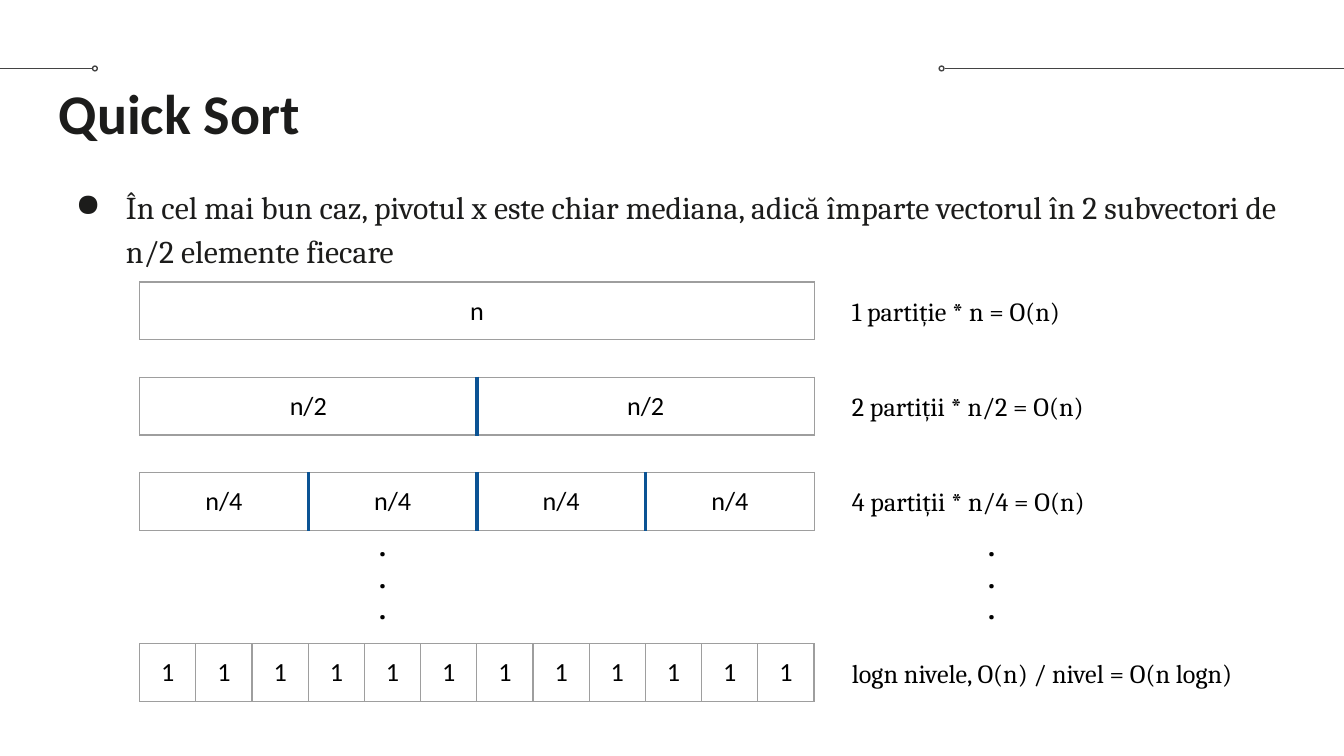
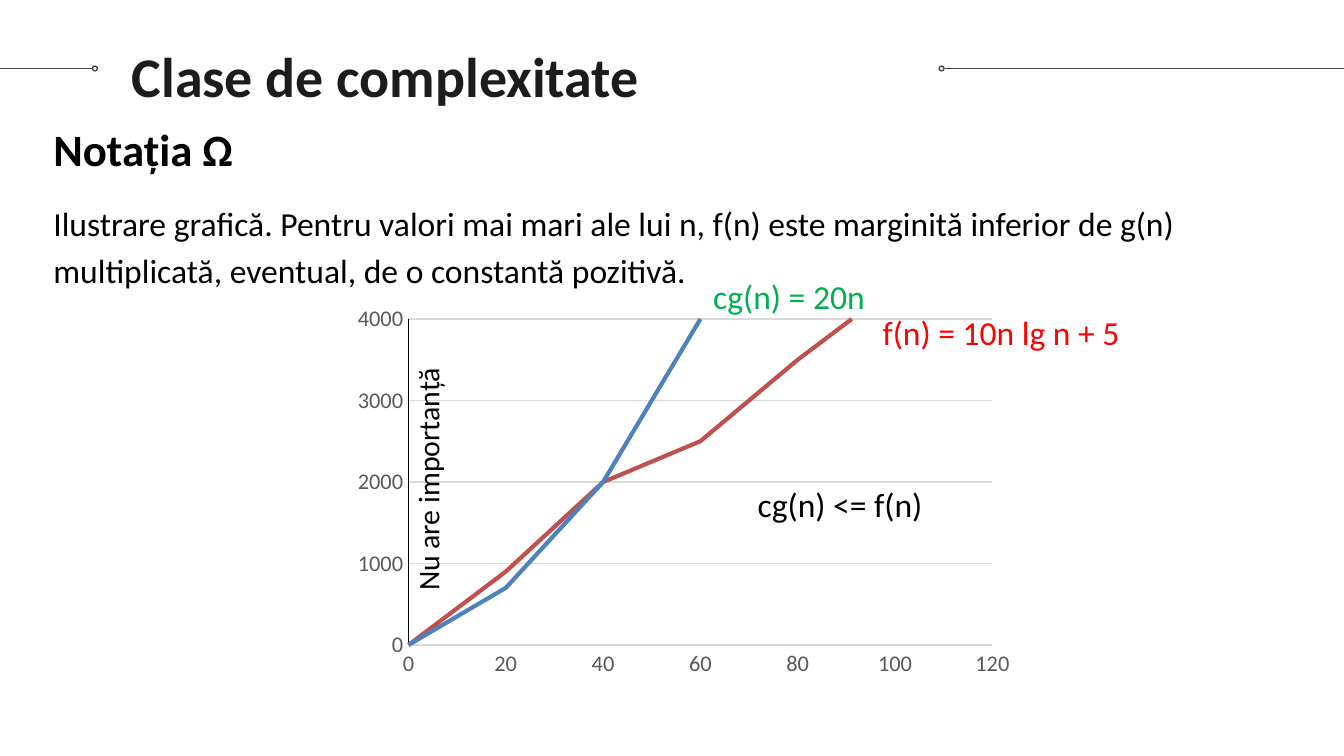
from lxml.etree import SubElement
from pptx import Presentation
from pptx.chart.data import XyChartData
from pptx.dml.color import RGBColor
from pptx.enum.chart import XL_CHART_TYPE, XL_TICK_MARK
from pptx.enum.shapes import MSO_CONNECTOR, MSO_SHAPE
from pptx.enum.text import PP_ALIGN
from pptx.oxml.ns import qn
from pptx.util import Cm, Pt

INK = RGBColor(0x1C, 0x1C, 0x1B)
BLACK = RGBColor(0, 0, 0)
WIRE = RGBColor(0x43, 0x43, 0x43)
EDGE = RGBColor(0x9E, 0x9E, 0x9E)
SPLIT = RGBColor(0x0B, 0x53, 0x94)
GRID = RGBColor(0xD9, 0xD9, 0xD9)
GREY = RGBColor(0x59, 0x59, 0x59)
BLUE = RGBColor(0x4F, 0x81, 0xBD)
BRICK = RGBColor(0xC0, 0x50, 0x4D)
GREEN = RGBColor(0x00, 0xB0, 0x50)
RED = RGBColor(0xFF, 0, 0)
PAD = Cm(0.25)


def write(slide, box, lines, size, font="Calibri", color=BLACK,
          bold=False, pad=PAD, wrap=True):
    """Add a text box with one paragraph per line and return its frame."""
    frame = slide.shapes.add_textbox(*(Cm(n) for n in box)).text_frame
    frame.word_wrap = wrap
    frame.margin_left = frame.margin_right = PAD
    frame.margin_top = frame.margin_bottom = pad
    for i, line in enumerate(lines):
        par = frame.add_paragraph() if i else frame.paragraphs[0]
        run = par.add_run()
        run.text = line
        run.font.name, run.font.size = font, Pt(size)
        run.font.bold, run.font.color.rgb = bold, color
    return frame


def border(cell, side, color, width):
    line = SubElement(cell._tc.get_or_add_tcPr(), qn("a:" + side), w=str(Pt(width)))
    fill = SubElement(line, qn("a:solidFill"))
    SubElement(fill, qn("a:srgbClr"), val=str(color))


deck = Presentation()
deck.slide_width, deck.slide_height = Cm(25.4), Cm(14.29)

# Shared wires, rings and title
pages = []
for title, left, top in [("Quick Sort", 0.86, 1.24),
                         ("Clase de complexitate", 2.24, 0.53)]:
    page = deck.slides.add_slide(deck.slide_layouts[6])
    for start, end, ring in [(0, 1.75, 1.75), (17.85, 25.4, 17.75)]:
        wire = page.shapes.add_connector(
            MSO_CONNECTOR.STRAIGHT, Cm(start), Cm(1.3), Cm(end), Cm(1.3))
        SubElement(wire._element.spPr, qn("a:effectLst"))
        dot = page.shapes.add_shape(
            MSO_SHAPE.OVAL, Cm(ring), Cm(1.25), Cm(0.09), Cm(0.09))
        dot.shadow.inherit = False
        dot.fill.background()
        for item in (wire, dot):
            item.line.color.rgb = WIRE
            item.line.width = Pt(0.75)
    write(page, (left, top, 23.67, 1.6), [title], 30, color=INK, bold=True)
    pages.append(page)
sort, growth = pages

# Quick Sort: levels of partitions
body = write(sort, (0.86, 3.2, 23.67, 9.5),
             ["În cel mai bun caz, pivotul x este chiar mediana, adică împarte "
              "vectorul în 2 subvectori de n/2 elemente fiecare"],
             17, "Cambria", INK)
par = body.paragraphs[0]
props = par._p.get_or_add_pPr()
props.set("marL", str(Cm(1.27)))
props.set("indent", str(Cm(-0.95)))
SubElement(props, qn("a:buChar"), char="●")
par.line_spacing = 1.15

TOP, STEP = 5.33, 1.8
levels = [
    (TOP, 1, "n", "1 partiție * n = O(n)", 5.9),
    (TOP + STEP, 2, "n/2", "2 partiții * n/2 = O(n)", 5.9),
    (TOP + 2 * STEP, 4, "n/4", "4 partiții * n/4 = O(n)", 5.9),
    (12.17, 12, "1", "logn nivele, O(n) / nivel = O(n logn)", 8.9),
]
for top, count, part, note, width in levels:
    table = sort.shapes.add_table(
        1, count, Cm(2.64), Cm(top), Cm(12.75), Cm(1.09)).table
    table.first_row = table.horz_banding = False
    table.rows[0].height = Cm(1.09)
    inner = (SPLIT, 2.25) if count in (2, 4) else (EDGE, 0.75)
    outer = (EDGE, 0.75)
    for i in range(count):
        table.columns[i].width = Cm(12.75 / count)
        cell = table.cell(0, i)
        cell.margin_left = cell.margin_right = PAD
        cell.margin_top = cell.margin_bottom = PAD
        border(cell, "lnL", *(inner if i else outer))
        border(cell, "lnR", *(inner if i < count - 1 else outer))
        border(cell, "lnT", *outer)
        border(cell, "lnB", *outer)
        cell.fill.background()
        par = cell.text_frame.paragraphs[0]
        par.alignment = PP_ALIGN.CENTER
        run = par.add_run()
        run.text = part
        run.font.name, run.font.size = "Calibri", Pt(14)
        run.font.color.rgb = BLACK
    write(sort, (15.85, top, width, 1.11), [note], 14, "Cambria")

for left in (6.91, 18.42):
    write(sort, (left, 9.78, 0.76, 2.31), ["."] * 3, 14, "Open Sans", bold=True)

# Omega notation: text and chart
intro = write(growth, (0.76, 2.01, 23.85, 3.56),
              ["Notația Ω",
               "Ilustrare grafică. Pentru valori mai mari ale lui n, f(n) este "
               "marginită inferior de g(n) multiplicată, eventual, de o "
               "constantă pozitivă."], 18, pad=Cm(0.13))
for par in intro.paragraphs:
    par.line_spacing, par.space_after = 1.15, Pt(12)
head = intro.paragraphs[0].runs[0].font
head.size, head.bold = Pt(24), True

data = XyChartData()
for name, values in [("Series 1", (0, 700, 2000, 4000, 7000, 10000)),
                     ("Series 2", (0, 900, 2000, 2500, 3500, 4400))]:
    series = data.add_series(name)
    for x, y in zip(range(0, 101, 20), values):
        series.add_data_point(x, y)
chart = growth.shapes.add_chart(
    XL_CHART_TYPE.XY_SCATTER_SMOOTH_NO_MARKERS,
    Cm(5.97), Cm(5.56), Cm(13.46), Cm(8.56), data).chart
chart.has_legend = chart.has_title = False
chart.font.name, chart.font.size = "Calibri", Pt(10)
chart.font.color.rgb = BLACK
plot = chart.plots[0]
plot.vary_by_categories = False
for series, color in zip(plot.series, (BLUE, BRICK)):
    series.smooth = True
    series.format.line.color.rgb = color
    series.format.line.width = Pt(2.25)

for axis, color in [(chart.category_axis, GRID), (chart.value_axis, BLACK)]:
    axis.major_tick_mark = axis.minor_tick_mark = XL_TICK_MARK.NONE
    font = axis.tick_labels.font
    font.name, font.size, font.color.rgb = "Calibri", Pt(12), GREY
    axis.format.line.color.rgb = color
    axis.format.line.width = Pt(0.75)
chart.category_axis.has_major_gridlines = False
scale = chart.value_axis
scale.minimum_scale, scale.maximum_scale, scale.major_unit = 0, 4000, 1000
scale.has_major_gridlines = True
scale.major_gridlines.format.line.color.rgb = GRID
scale.major_gridlines.format.line.width = Pt(0.75)

area = chart._chartSpace.chart.plotArea
for old in area.findall(qn("c:layout")):
    area.remove(old)
layout = SubElement(area, qn("c:layout"))
area.insert(0, layout)
manual = SubElement(layout, qn("c:manualLayout"))
for tag, value in [("layoutTarget", "inner"), ("xMode", "edge"),
                   ("yMode", "edge"), ("x", 0.13), ("y", 0.055),
                   ("w", 0.82), ("h", 0.72)]:
    SubElement(manual, qn("c:" + tag), val=str(value))

for box, label, color in [
        ((13.23, 5.08, 3.78, 1.02), "cg(n) = 20n", GREEN),
        ((16.43, 5.77, 5.56, 1.02), "f(n) = 10n lg n + 5", RED),
        ((14.07, 9.02, 4.04, 1.02), "cg(n) <= f(n)", BLACK)]:
    write(growth, box, [label], 18, color=color, pad=Cm(0.13), wrap=False)
side = write(growth, (7.49, 4.34, 1.19, 6.96), ["Nu are importanță"], 16,
             pad=Cm(0.13))
side._txBody.bodyPr.set("vert", "vert270")

deck.save("out.pptx")
